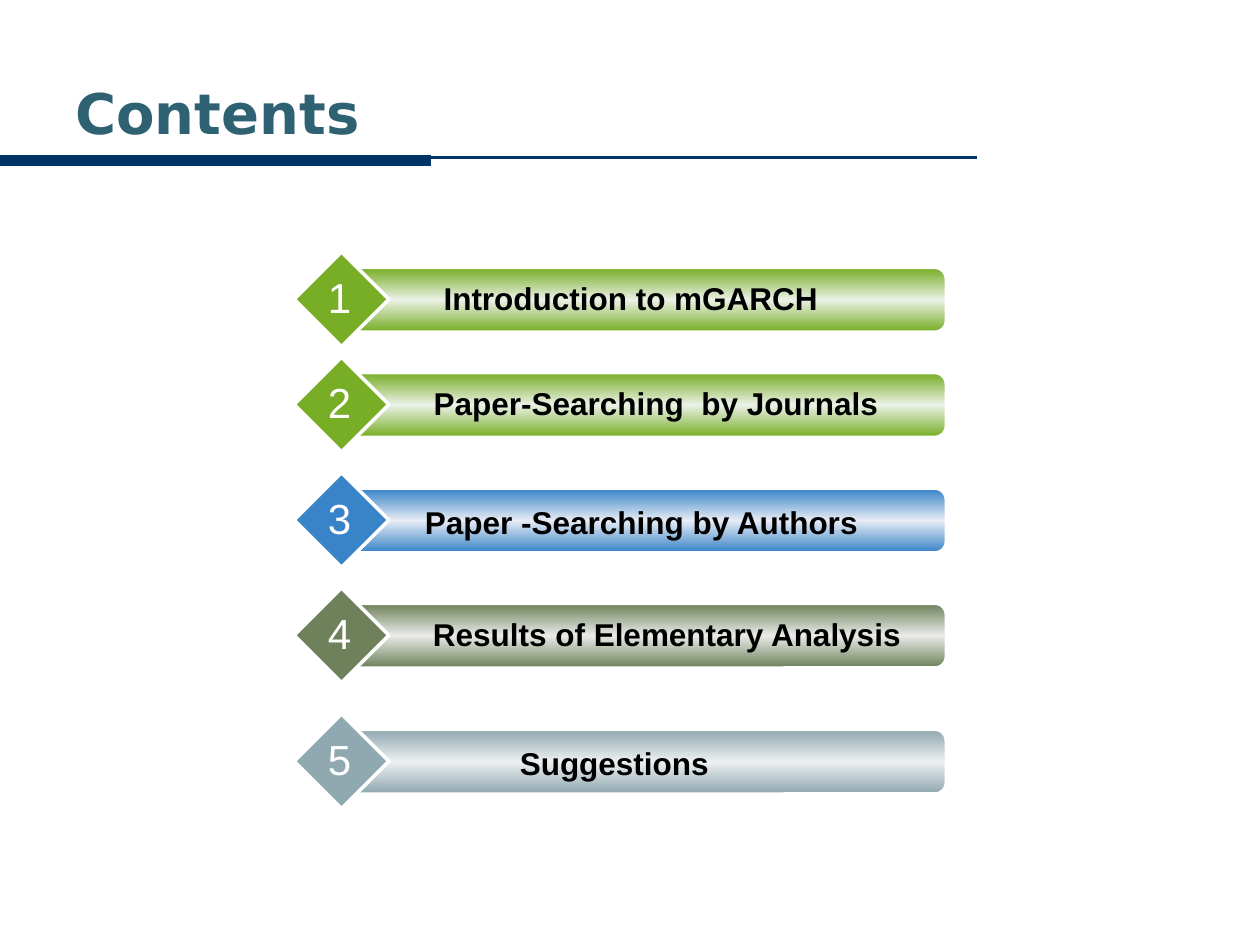
from copy import deepcopy

from pptx import Presentation
from pptx.dml.color import RGBColor
from pptx.enum import shapes, text
from pptx.oxml.ns import qn
from pptx.util import Cm, Pt

COLORS = {
    "navy": "003366",
    "title": "2E6272",
    "white": "FFFFFF",
    "black": "000000",
    "green": "77AE26",
    "green_glow": "EBF1E6",
    "blue": "3984C9",
    "blue_glow": "E7ECF5",
    "olive": "6E815B",
    "olive_glow": "EAEBE8",
    "gray": "90A8B0",
    "gray_glow": "EDF0F1",
}

# Wording, colour, row top, then label left, drop below row top and width (cm)
ENTRIES = [
    ("Introduction to mGARCH ", "green", 5.08, 8.04, 0.42, 9.53),
    ("Paper-Searching  by Journals", "green", 7.2, 8.46, 0.42, 9.53),
    ("Paper -Searching by Authors ", "blue", 9.53, 7.62, 0.48, 10.8),
    ("Results of Elementary Analysis", "olive", 11.85, 8.26, 0.42, 10.37),
    ("Suggestions", "gray", 14.39, 7.62, 0.48, 9.53),
]


def rgb(name):
    return RGBColor.from_string(COLORS[name])


def add_rule(slide, start, end, y, width):
    rule = slide.shapes.add_connector(
        shapes.MSO_CONNECTOR.STRAIGHT, Cm(start), Cm(y), Cm(end), Cm(y))
    rule.line.color.rgb = rgb("navy")
    rule.line.width = Pt(width)
    properties = rule._element.spPr
    properties.append(properties.makeelement(qn("a:effectLst"), {}))


def add_text(slide, box, wording, size, color, font="Arial", bold=False,
             align=text.PP_ALIGN.CENTER, anchor=text.MSO_ANCHOR.TOP, wrap=True):
    frame = slide.shapes.add_textbox(*map(Cm, box)).text_frame
    frame.word_wrap = wrap
    frame.vertical_anchor = anchor
    frame.text = wording
    paragraph = frame.paragraphs[0]
    paragraph.alignment = align
    style = paragraph.runs[0].font
    style.name, style.size, style.bold = font, Pt(size), bold
    style.color.rgb = rgb(color)


def add_outlined(slide, kind, box, line_width):
    shape = slide.shapes.add_shape(kind, *map(Cm, box))
    shape.shadow.inherit = False
    shape.line.color.rgb = rgb("white")
    shape.line.width = Pt(line_width)
    return shape


def fill_with_glow(shape, edge, glow):
    """Vertical gradient, light in the middle."""
    shape.fill.gradient()
    shape.fill.gradient_angle = 90
    stop_list = shape._element.spPr.find(qn("a:gradFill")).find(qn("a:gsLst"))
    stop_list.insert(1, deepcopy(stop_list[0]))
    for stop, color, position in zip(
            shape.fill.gradient_stops, (edge, glow, edge), (0, 0.5, 1)):
        stop.color.rgb = rgb(color)
        stop.position = position


def add_entry(slide, number, wording, color, top, left, drop, width):
    bar = add_outlined(slide, shapes.MSO_SHAPE.ROUNDED_RECTANGLE,
                       (6.99, top + 0.33, 12.07, 1.27), 1)
    bar.adjustments[0] = 0.167
    fill_with_glow(bar, color, color + "_glow")

    diamond = add_outlined(slide, shapes.MSO_SHAPE.DIAMOND,
                           (5.93, top, 1.91, 1.91), 2)
    diamond.fill.solid()
    diamond.fill.fore_color.rgb = rgb(color)

    add_text(slide, (left, top + drop, width, 1.02), wording, 18, "black",
             bold=True)
    add_text(slide, (6.35, top + 0.27, 0.99, 1.28), str(number), 24, "white",
             wrap=False)


def main():
    presentation = Presentation()
    presentation.slide_width, presentation.slide_height = Cm(25.4), Cm(19.05)
    slide = presentation.slides.add_slide(presentation.slide_layouts[6])

    # Heading with its two rules
    add_rule(slide, 19.69, 0, 3.18, 1.5)
    add_rule(slide, 0, 8.69, 3.24, 6)
    add_text(slide, (1.27, 1.47, 21.39, 1.57), "Contents", 32, "title",
             font="DejaVu Sans", bold=True, align=text.PP_ALIGN.LEFT,
             anchor=text.MSO_ANCHOR.MIDDLE)

    # Numbered entries
    for number, entry in enumerate(ENTRIES, 1):
        add_entry(slide, number, *entry)

    presentation.save("out.pptx")


if __name__ == "__main__":
    main()
